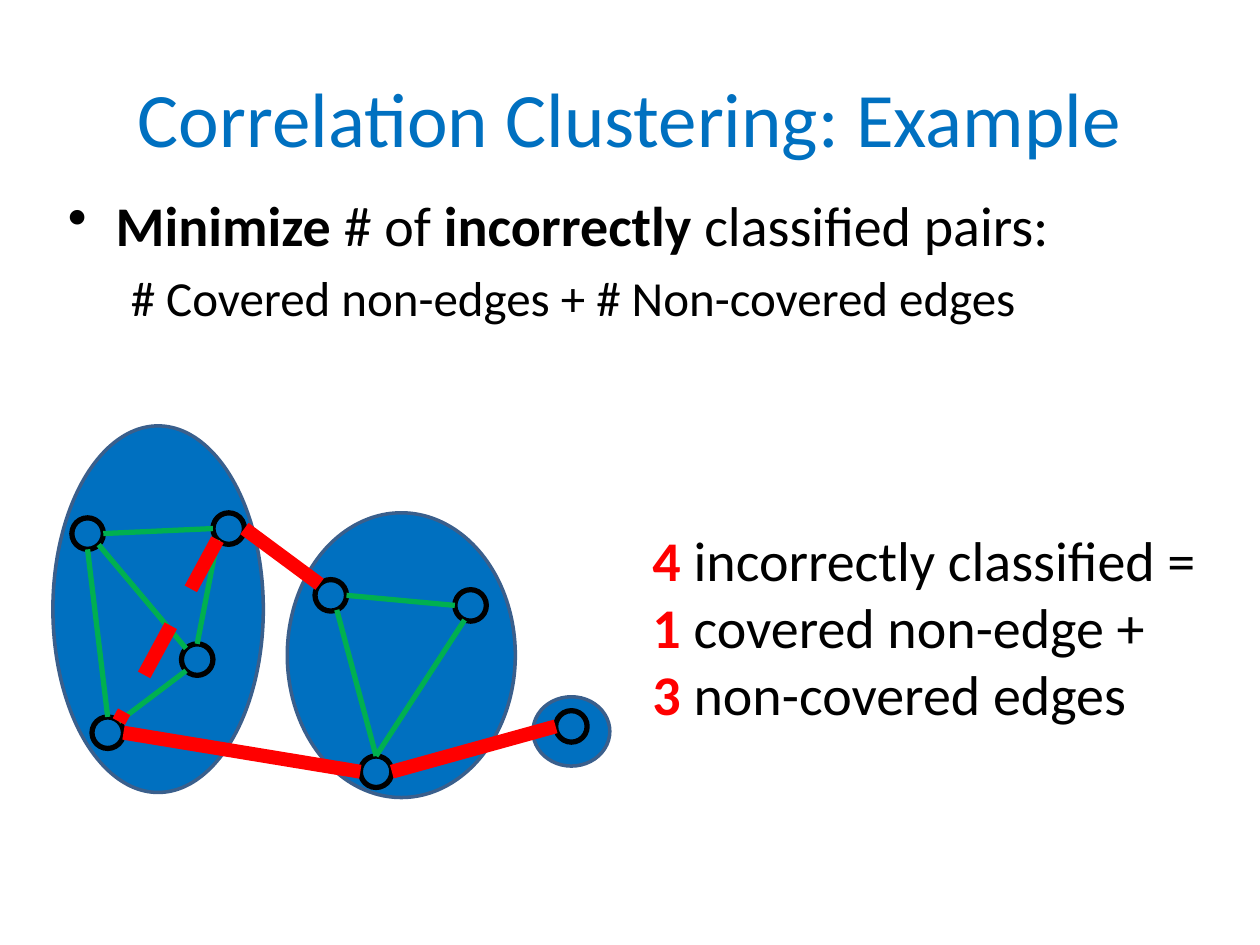
from math import cos, radians, sin

from lxml import etree
from pptx import Presentation
from pptx.dml.color import RGBColor
from pptx.enum.dml import MSO_LINE
from pptx.enum.shapes import MSO_CONNECTOR, MSO_SHAPE
from pptx.enum.text import MSO_ANCHOR, PP_ALIGN
from pptx.oxml.ns import qn
from pptx.util import Inches, Pt

OVAL = MSO_SHAPE.OVAL
STRAIGHT = MSO_CONNECTOR.STRAIGHT
DASH = MSO_LINE.DASH
MIDDLE, TOP = MSO_ANCHOR.MIDDLE, MSO_ANCHOR.TOP
CENTER, LEFT = PP_ALIGN.CENTER, PP_ALIGN.LEFT

THEME = {
    "font": "Calibri",
    "blue": "0070C0", "outline": "3A5F8C", "black": "000000",
    "green": "00B050", "red": "FF0000",
    "title": 44, "body": 32, "sub": 28,
    "cluster_line": 2, "node_line": 3, "right_edge": 3, "wrong_edge": 8,
}
WIDTH, HEIGHT = 10, 7.5
NODE_SIZE = 0.25

TITLE = [{"runs": [("Correlation Clustering: Example", "blue", False)],
          "size": "title", "align": CENTER}]
OBJECTIVE = [
    {"runs": [("Minimize ", "black", True), ("# of ", "black", False),
              ("incorrectly ", "black", True),
              ("classified pairs:", "black", False)],
     "size": "body", "indent": (0.38, -0.38), "bullet": "•"},
    {"runs": [("# Covered non-edges + # Non-covered edges", "black", False)],
     "size": "sub", "indent": (0.5, 0), "before": 5.6},
]
COUNTS = [("4", " incorrectly classified ="), ("1", " covered non-edge +"),
          ("3", " non-covered edges")]
TALLY = [{"runs": [(count, "red", True), (meaning, "black", False)],
          "size": "body"} for count, meaning in COUNTS]
TEXTS = [
    (TITLE, (0.5, 0.3, 9, 1.25), MIDDLE),
    (OBJECTIVE, (0.44, 1.46, 9, 5.87), TOP),
    (TALLY, (5.08, 4.12, 4.92, 1.72), TOP),
]

CLUSTERS = [(4.23, 5.53, 0.61, 0.55), (0.42, 3.38, 1.67, 2.91),
            (2.28, 4.07, 1.81, 2.26)]
NODES = {
    "A": (0.57, 4.11), "B": (0.73, 5.69), "C": (1.69, 4.07),
    "E": (3.61, 4.68), "H": (4.41, 5.64), "D": (1.44, 5.11),
    "G": (2.86, 6), "F": (2.5, 4.6),
}
COMPASS = ["E", "ESE", "SE", "SSE", "S", "SSW", "SW", "WSW",
           "W", "WNW", "NW", "NNW", "N", "NNE", "NE", "ENE"]
COVERED_EDGES = ["A E C W", "D N C SW", "B N A S", "B NE D SW", "A SE D NW",
                 "F E E W", "F SSE G N", "E SSW G N"]
NON_COVERED_EDGES = ["F NW C E", "G W B E", "H W G E"]
COVERED_NON_EDGES = ["C SW B NE"]
EDGES = [
    (COVERED_EDGES, "green", "right_edge", {}),
    (NON_COVERED_EDGES, "red", "wrong_edge", {}),
    (COVERED_NON_EDGES, "red", "wrong_edge", {"dash_style": DASH}),
]


def color(key):
    return RGBColor.from_string(THEME[key])


def apply(target, values):
    for attribute, value in values.items():
        setattr(target, attribute, value)


def add_text(slide, paragraphs, place, anchor):
    frame = slide.shapes.add_textbox(*map(Inches, place)).text_frame
    apply(frame, {"word_wrap": True, "vertical_anchor": anchor})
    for number, content in enumerate(paragraphs):
        paragraph = frame.add_paragraph() if number else frame.paragraphs[0]
        margin, indent = content.get("indent", (0, 0))
        properties = paragraph._p.get_or_add_pPr()
        properties.set("marL", str(Inches(margin)))
        properties.set("indent", str(Inches(indent)))
        if "bullet" in content:
            bullet = etree.SubElement(properties, qn("a:buChar"))
            bullet.set("char", content["bullet"])
        apply(paragraph, {"alignment": content.get("align", LEFT),
                          "space_before": Pt(content.get("before", 0))})
        for words, ink, bold in content["runs"]:
            run = paragraph.add_run()
            run.text = words
            apply(run.font, {"name": THEME["font"], "bold": bold,
                             "size": Pt(THEME[content["size"]])})
            run.font.color.rgb = color(ink)


def add_oval(graph, place, outline, weight):
    oval = graph.shapes.add_shape(OVAL, *map(Inches, place))
    oval.shadow.inherit = False
    oval.fill.solid()
    oval.fill.fore_color.rgb = color("blue")
    oval.line.color.rgb = color(outline)
    oval.line.width = Pt(THEME[weight])


def rim_point(node, direction):
    angle = radians(COMPASS.index(direction) * 360 / len(COMPASS))
    radius = NODE_SIZE / 2
    left, top = NODES[node]
    return (Inches(left + radius * (1 + cos(angle))),
            Inches(top + radius * (1 + sin(angle))))


def add_edge(graph, route, ink, weight, extra):
    start, leaving, end, arriving = route.split()
    edge = graph.shapes.add_connector(
        STRAIGHT, *rim_point(start, leaving), *rim_point(end, arriving))
    edge.line.color.rgb = color(ink)
    apply(edge.line, {"width": Pt(THEME[weight]), **extra})
    etree.SubElement(edge._element.spPr, qn("a:effectLst"))


def main():
    deck = Presentation()
    apply(deck, {"slide_width": Inches(WIDTH), "slide_height": Inches(HEIGHT)})
    slide = deck.slides.add_slide(deck.slide_layouts[6])
    for paragraphs, place, anchor in TEXTS:
        add_text(slide, paragraphs, place, anchor)
    graph = slide.shapes.add_group_shape()
    for cluster in CLUSTERS:
        add_oval(graph, cluster, "outline", "cluster_line")
    for corner in NODES.values():
        add_oval(graph, (*corner, NODE_SIZE, NODE_SIZE), "black", "node_line")
    for routes, ink, weight, extra in EDGES:
        for route in routes:
            add_edge(graph, route, ink, weight, extra)
    deck.save("out.pptx")


if __name__ == "__main__":
    main()
